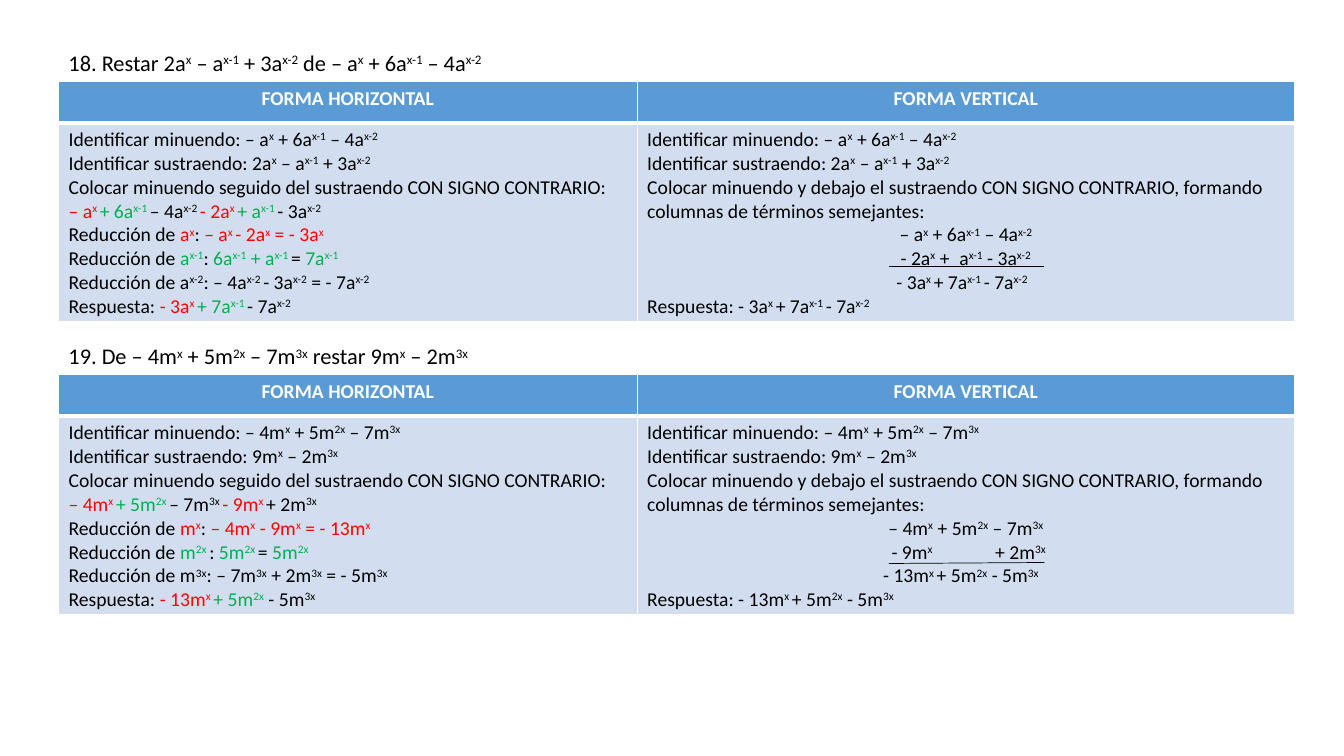
from lxml.etree import SubElement
from pptx import Presentation
from pptx.dml.color import RGBColor
from pptx.enum.shapes import MSO_CONNECTOR
from pptx.enum.text import MSO_AUTO_SIZE, PP_ALIGN
from pptx.oxml import parse_xml
from pptx.oxml.ns import nsdecls, qn
from pptx.util import Pt

BLACK = RGBColor(0x00, 0x00, 0x00)
WHITE = RGBColor(0xFF, 0xFF, 0xFF)
RED = RGBColor(0xFF, 0x00, 0x00)
GREEN = RGBColor(0x00, 0xB0, 0x50)
HEADER = RGBColor(0x5B, 0x9B, 0xD5)
BODY = RGBColor(0xD2, 0xDE, 0xEF)

COLOR_MARKS = {"<": RED, "[": GREEN, ">": BLACK}
COLUMNS = (413.3, 469.6)
ROWS = (29.5, 141)
HEADINGS = ("FORMA HORIZONTAL", "FORMA VERTICAL")

PROBLEMS = [
    {
        "title": "18. Restar 2a^x^ – a^x-1^ + 3a^x-2^ de – a^x^ + 6a^x-1^ – 4a^x-2^",
        "box": (41.8, 31.7, 322, 26.6),
        "minuend": "– a^x^ + 6a^x-1^ – 4a^x-2^",
        "subtrahend": "2a^x^ – a^x-1^ + 3a^x-2^",
        "joined": "<– a^x ^[+ 6a^x-1 ^>– 4a^x-2 ^<- 2a^x ^[+ a^x-1 ^>- 3a^x-2^",
        "reductions": [
            "<a^x^>: <– a^x ^- 2a^x^ = - 3a^x^",
            "[a^x-1^>: [6a^x-1^ + a^x-1 ^>= [7a^x-1^",
            "a^x-2^: – 4a^x-2 ^- 3a^x-2^ = - 7a^x-2^",
        ],
        "answer": "<- 3a^x ^[+ 7a^x-1 ^>- 7a^x-2^",
        "below": "\t- 2a^x^ +\ta^x-1^ - 3a^x-2^",
        "below_tabs": (181, 223),
        "answer_tab": 178,
        "rule": (158.4, 158.4),
    },
    {
        "title": "19. De – 4m^x^ + 5m^2x^ – 7m^3x^ restar 9m^x^ – 2m^3x^",
        "box": (41.8, 241.2, 312, 26.6),
        "minuend": "– 4m^x^ + 5m^2x^ – 7m^3x^",
        "subtrahend": "9m^x^ – 2m^3x^",
        "joined": "<– 4m^x ^[+ 5m^2x ^>– 7m^3x ^<- 9m^x ^>+ 2m^3x^",
        "reductions": [
            "<m^x^>: <– 4m^x^ - 9m^x^ = - 13m^x^",
            "[m^2x ^>: [5m^2x ^>= [5m^2x^",
            "m^3x^: – 7m^3x^ + 2m^3x^ = - 5m^3x^",
        ],
        "answer": "<- 13m^x ^[+ 5m^2x^> - 5m^3x^",
        "below": "\t- 9m^x^\t+ 2m^3x^",
        "below_tabs": (174.5, 248.5),
        "answer_tab": 168.5,
        "rule": (161.3, 160.6),
    },
]


def split_runs(text):
    color, raised, chunk = BLACK, False, ""
    for char in text + ">":
        if char != "^" and char not in COLOR_MARKS:
            chunk += char
            continue
        if chunk:
            yield chunk, color, raised
        chunk = ""
        if char == "^":
            raised = not raised
        else:
            color = COLOR_MARKS[char]


def plain(text):
    return "".join(char for char in text if char not in COLOR_MARKS)


def write(p, text, size=14, align=PP_ALIGN.LEFT, tabs=(), **extra):
    p.alignment = align
    if tabs:
        tab_list = SubElement(p._p.get_or_add_pPr(), qn("a:tabLst"))
        for position in tabs:
            SubElement(tab_list, qn("a:tab"), pos=str(Pt(position)), algn="l")
    for chunk, color, raised in split_runs(text):
        r = p.add_run()
        r.text = chunk
        r.font.color.rgb = color
        for name, value in {"name": "Calibri", "size": Pt(size), "bold": False, **extra}.items():
            setattr(r.font, name, value)
        if raised:
            r._r.get_or_add_rPr().set("baseline", "30000")


def style_cell(cell, color, top, bottom):
    cell.fill.solid()
    cell.fill.fore_color.rgb = color
    tcPr = cell._tc.get_or_add_tcPr()
    for i, (side, width) in enumerate((("L", 1), ("R", 1), ("T", top), ("B", bottom))):
        tcPr.insert(i, parse_xml(
            f'<a:ln{side} {nsdecls("a")} w="{Pt(width)}"><a:solidFill>'
            f'<a:srgbClr val="{WHITE}"/></a:solidFill></a:ln{side}>'))


def fill_body(cell, lines):
    style_cell(cell, BODY, 3, 1)
    tf = cell.text_frame
    for i, (text, options) in enumerate(lines):
        p = tf.paragraphs[0] if i == 0 else tf.add_paragraph()
        write(p, text, **options)


def add_title(slide, box, text):
    tf = slide.shapes.add_textbox(*map(Pt, box)).text_frame
    tf.word_wrap = False
    tf.auto_size = MSO_AUTO_SIZE.SHAPE_TO_FIT_TEXT
    write(tf.paragraphs[0], text, size=16)


def add_solution(slide, left, top, problem):
    table = slide.shapes.add_table(
        2, 2, Pt(left), Pt(top), Pt(sum(COLUMNS)), Pt(sum(ROWS))).table
    for column, width in zip(table.columns, COLUMNS):
        column.width = Pt(width)
    for row, height in zip(table.rows, ROWS):
        row.height = Pt(height)
    for i, heading in enumerate(HEADINGS):
        cell = table.cell(0, i)
        style_cell(cell, HEADER, 1, 3)
        write(cell.text_frame.paragraphs[0], heading, align=PP_ALIGN.CENTER, bold=True)
        for r in cell.text_frame.paragraphs[0].runs:
            r.font.color.rgb = WHITE

    answer = problem["answer"]
    identify = [
        ("Identificar minuendo: " + problem["minuend"], {}),
        ("Identificar sustraendo: " + problem["subtrahend"], {}),
    ]
    fill_body(table.cell(1, 0), [
        *identify,
        ("Colocar minuendo seguido del sustraendo CON SIGNO CONTRARIO:", {}),
        (problem["joined"], {}),
        *[("Reducción de " + text, {}) for text in problem["reductions"]],
        ("Respuesta: " + answer, {}),
    ])
    fill_body(table.cell(1, 1), [
        *identify,
        ("Colocar minuendo y debajo el sustraendo CON SIGNO CONTRARIO, "
         "formando columnas de términos semejantes:", {}),
        (problem["minuend"], {"align": PP_ALIGN.CENTER}),
        (problem["below"], {"tabs": problem["below_tabs"]}),
        ("\t" + plain(answer), {"tabs": (problem["answer_tab"],)}),
        ("Respuesta: " + plain(answer), {}),
    ])


def add_rule(slide, left, top, ends):
    line = slide.shapes.add_connector(
        MSO_CONNECTOR.STRAIGHT, Pt(left + 593.2), Pt(top + ends[0]),
        Pt(left + 704.2), Pt(top + ends[1]))
    line.line.color.rgb = BLACK
    line.line.width = Pt(0.5)
    SubElement(line._element.spPr, qn("a:effectLst"))


def add_problem(slide, problem):
    left, top, width, height = problem["box"]
    add_title(slide, problem["box"], problem["title"])
    add_solution(slide, left, top + height, problem)
    add_rule(slide, left, top, problem["rule"])


def main():
    prs = Presentation()
    prs.slide_width, prs.slide_height = Pt(960), Pt(540)
    slide = prs.slides.add_slide(prs.slide_layouts[6])
    for problem in PROBLEMS:
        add_problem(slide, problem)
    prs.save("out.pptx")


if __name__ == "__main__":
    main()
